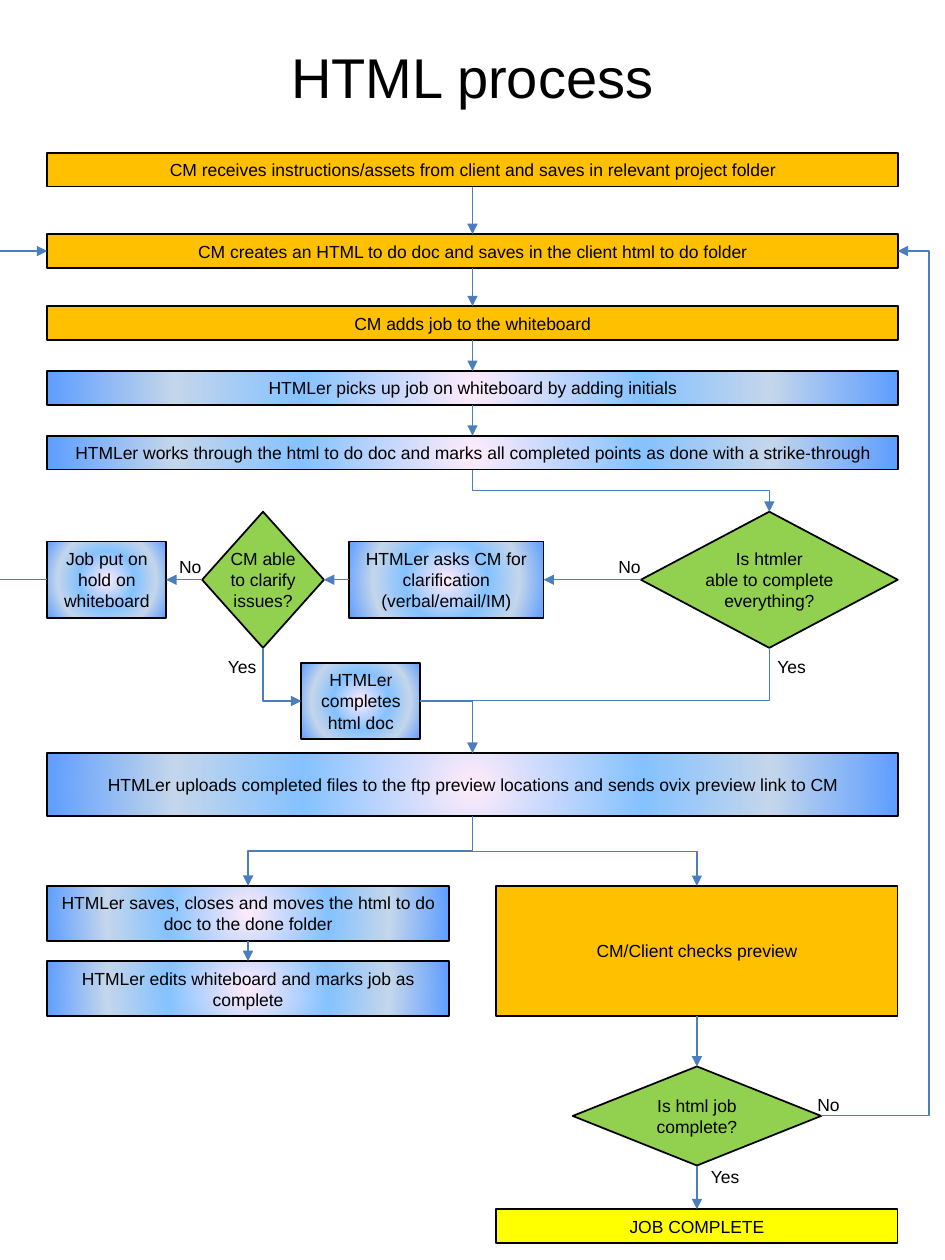
from pptx import Presentation
from pptx.dml.color import RGBColor
from pptx.enum.shapes import MSO_CONNECTOR, MSO_SHAPE
from pptx.enum.text import MSO_ANCHOR, PP_ALIGN
from pptx.oxml import parse_xml
from pptx.oxml.ns import nsdecls, qn
from pptx.util import Pt

RECT, GATE = MSO_SHAPE.RECTANGLE, MSO_SHAPE.FLOWCHART_DECISION
LINE, ELBOW = MSO_CONNECTOR.STRAIGHT, MSO_CONNECTOR.ELBOW
MIDDLE, TOP_ANCHOR = MSO_ANCHOR.MIDDLE, MSO_ANCHOR.TOP
CENTER = PP_ALIGN.CENTER
TOP, LEFT, BOTTOM, RIGHT = range(4)

FONT, BLACK, BLUE = "Arial", "000000", "4B7EBC"
AMBER, GREEN, YELLOW = "FFC000", "92D050", "FFFF00"
GLOW = [(0, "FFEBFA"), (40, "85C2FF"), (70, "C4D6EB"), (100, "5E9EFF")]

EDGE, FULL, HALF = 27, 486, 229.5
COL2 = EDGE + FULL - HALF
ROW, PAIR, TALL = 19.4, 31.4, 43.6

# name: (left, top, width, height, fill, text)
BOXES = {
    "receive": (EDGE, 87.3, FULL, ROW, AMBER,
                "CM receives instructions/assets from client and saves in relevant project folder"),
    "create": (EDGE, 133.8, FULL, ROW, AMBER,
               "CM creates an HTML to do doc and saves in the client html to do folder"),
    "add": (EDGE, 175, FULL, ROW, AMBER, "CM adds job to the whiteboard"),
    "pick": (EDGE, 212, FULL, ROW, GLOW,
             "HTMLer picks up job on whiteboard by adding initials"),
    "work": (EDGE, 249, FULL, ROW, GLOW,
             "HTMLer works through the html to do doc and marks all completed "
             "points as done with a strike-through"),
    "upload": (EDGE, 430.3, FULL, 36.2, GLOW,
               "HTMLer uploads completed files to the ftp preview locations "
               "and sends ovix preview link to CM"),
    "save": (EDGE, 506.2, HALF, PAIR, GLOW,
             "HTMLer saves, closes and moves the html to do doc to the done folder"),
    "edit": (EDGE, 549.2, HALF, PAIR, GLOW,
             "HTMLer edits whiteboard and marks job as complete"),
    "check": (COL2, 506.2, HALF, 74.4, AMBER, "CM/Client checks preview"),
    "end": (COL2, 691, HALF, ROW, YELLOW, "JOB COMPLETE"),
    "hold": (EDGE, 309.5, 68, TALL, GLOW, "Job put on hold on whiteboard"),
    "ask": (199.4, 309.5, 111.2, TALL, GLOW,
            "HTMLer asks CM for clarification (verbal/email/IM)"),
    "finish": (172.2, 378.8, 68, TALL, GLOW, "HTMLer completes html doc"),
}

GATES = {
    "able": (366.2, 292.4, 146.8, 77.8, GREEN,
             "Is htmler\nable to complete\neverything?"),
    "clear": (115.5, 292.4, 69.6, 77.8, GREEN, "CM able\nto clarify\nissues?"),
    "done": (327.25, 609.4, 142, 56.6, GREEN, "Is html job\ncomplete?"),
}

# text, left, top, width
LABELS = [
    ("Yes", 436.3, 371.5, 32), ("Yes", 398.3, 662.5, 32),
    ("Yes", 122.3, 371.5, 32), ("No", 459.7, 621.4, 27.4),
    ("No", 346, 314, 27.4), ("No", 95, 314, 27.4),
]

STRAIGHT = [
    ("receive", BOTTOM, "create", TOP), ("create", BOTTOM, "add", TOP),
    ("add", BOTTOM, "pick", TOP), ("pick", BOTTOM, "work", TOP),
    ("save", BOTTOM, "edit", TOP), ("check", BOTTOM, "done", TOP),
    ("done", BOTTOM, "end", TOP), ("able", LEFT, "ask", RIGHT),
    ("ask", LEFT, "clear", RIGHT), ("clear", LEFT, "hold", RIGHT),
]

# from, side, to, side, preset, bend
BENT = [
    ("work", BOTTOM, "able", TOP, "bentConnector3", 0.5),
    ("able", BOTTOM, "upload", TOP, "bentConnector3", 0.5),
    ("upload", BOTTOM, "save", TOP, "bentConnector3", 0.5),
    ("upload", BOTTOM, "check", TOP, "bentConnector3", 0.5),
    ("done", RIGHT, "create", RIGHT, "bentConnector3", 1.41),
    ("clear", BOTTOM, "finish", LEFT, "bentConnector2", None),
    ("finish", RIGHT, "upload", TOP, "bentConnector2", None),
]


def tint(code):
    return RGBColor.from_string(code)


def write(shape, text, size=10, anchor=MIDDLE, wrap=True):
    frame = shape.text_frame
    frame.word_wrap = wrap
    frame.vertical_anchor = anchor
    for i, part in enumerate(text.split("\n")):
        para = frame.add_paragraph() if i else frame.paragraphs[0]
        para.alignment = CENTER
        run = para.add_run()
        run.text = part
        run.font.name, run.font.size = FONT, Pt(size)
        run.font.color.rgb = tint(BLACK)


def glow(shape):
    """Fill the shape with a gradient that spreads from its centre."""
    stops = "".join(f'<a:gs pos="{pos * 1000}"><a:srgbClr val="{code}"/></a:gs>'
                    for pos, code in GLOW)
    grad = parse_xml(
        f'<a:gradFill {nsdecls("a")} rotWithShape="1"><a:gsLst>{stops}</a:gsLst>'
        '<a:path path="circle"><a:fillToRect l="50000" t="50000" r="50000" b="50000"/>'
        '</a:path></a:gradFill>')
    props = shape.element.spPr
    props.replace(props.find(qn("a:solidFill")), grad)


def node(kind, left, top, width, height, fill, text):
    shape = slide.shapes.add_shape(kind, Pt(left), Pt(top), Pt(width), Pt(height))
    shape.shadow.inherit = False
    shape.fill.solid()
    if fill is GLOW:
        glow(shape)
    else:
        shape.fill.fore_color.rgb = tint(fill)
    shape.line.color.rgb = tint(BLACK)
    shape.line.width = Pt(1)
    write(shape, text, wrap=kind == RECT)
    return shape


def label(text, left, top, width, height, **style):
    box = slide.shapes.add_textbox(Pt(left), Pt(top), Pt(width), Pt(height))
    write(box, text, **style)


def wire(kind, ends=(0, 0, 0, 0), head=True):
    link = slide.shapes.add_connector(kind, *map(Pt, ends))
    link.line.color.rgb = tint(BLUE)
    link.line.width = Pt(0.75)
    if head:
        link.line._get_or_add_ln().append(
            parse_xml(f'<a:tailEnd {nsdecls("a")} type="triangle"/>'))
    link.element.spPr.append(parse_xml(f'<a:effectLst {nsdecls("a")}/>'))
    return link


def join(kind, start, out, stop, into):
    link = wire(kind)
    link.begin_connect(nodes[start], out)
    link.end_connect(nodes[stop], into)
    return link


def upright(link):
    """Turn an elbow a quarter so that it leaves its start downwards."""
    across, down = link.end_x - link.begin_x, link.end_y - link.begin_y
    mid_x, mid_y = link.begin_x + across // 2, link.begin_y + down // 2
    wide, high = abs(down), abs(across)
    link.left, link.top = mid_x - wide // 2, mid_y - high // 2
    link.width, link.height = wide, high
    frame = link.element.spPr.find(qn("a:xfrm"))
    frame.set("rot", "5400000")
    frame.set("flipH", "0")
    frame.set("flipV", "1" if across > 0 else "0")


def bend(start, out, stop, into, preset, ratio):
    link = join(ELBOW, start, out, stop, into)
    if out == BOTTOM:
        upright(link)
    geom = link.element.spPr.find(qn("a:prstGeom"))
    geom.set("prst", preset)
    if ratio is not None:
        geom.replace(geom.find(qn("a:avLst")), parse_xml(
            f'<a:avLst {nsdecls("a")}><a:gd name="adj1" '
            f'fmla="val {round(ratio * 100000)}"/></a:avLst>'))


deck = Presentation()
deck.slide_width, deck.slide_height = Pt(540), Pt(720)
slide = deck.slides.add_slide(deck.slide_layouts[6])

label("HTML process", EDGE, 20.2, FULL, 46, size=32)
nodes = {name: node(RECT, *box) for name, box in BOXES.items()}
nodes |= {name: node(GATE, *gate) for name, gate in GATES.items()}
for step in STRAIGHT:
    join(LINE, *step)
for step in BENT:
    bend(*step)

# The job on hold leaves at the left edge and comes back in higher up.
away = wire(LINE, (EDGE, 331.3, 0, 331.3), head=False)
away.begin_connect(nodes["hold"], LEFT)
back = wire(LINE, (0, 143.5, EDGE, 143.5))
back.end_connect(nodes["create"], LEFT)

for text, left, top, width in LABELS:
    label(text, left, top, width, ROW, anchor=TOP_ANCHOR, wrap=False)

deck.save("out.pptx")
